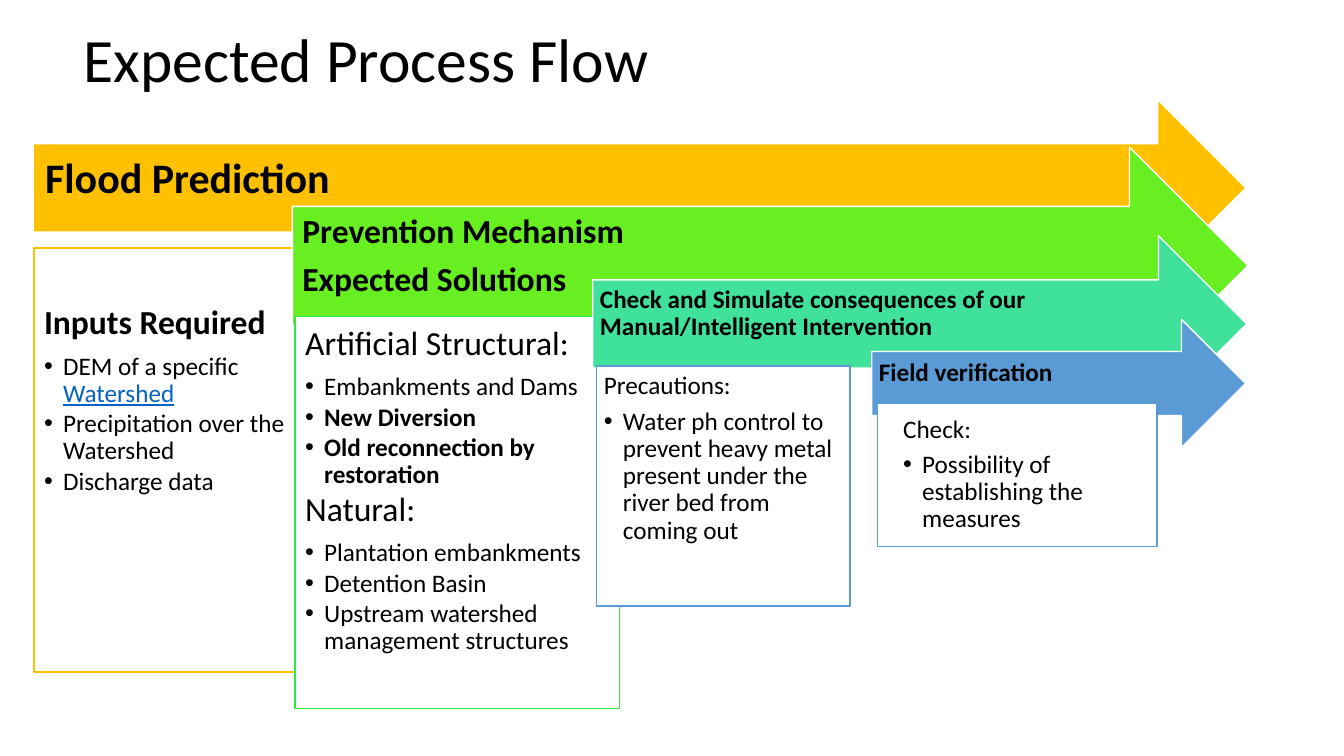
"""Build the flood process flow slide: four layered arrows, each with a detail box."""
from lxml.etree import SubElement
from pptx import Presentation
from pptx.dml.color import RGBColor
from pptx.enum.shapes import MSO_SHAPE
from pptx.enum.text import MSO_ANCHOR, PP_ALIGN
from pptx.oxml.ns import qn
from pptx.util import Cm, Pt

BLACK = RGBColor(0x00, 0x00, 0x00)
WHITE = RGBColor(0xFF, 0xFF, 0xFF)
AMBER = RGBColor(0xFF, 0xC0, 0x00)
LIME = RGBColor(0x67, 0xEF, 0x21)
GREEN = RGBColor(0x30, 0xE8, 0x45)
MINT = RGBColor(0x3F, 0xE1, 0x9B)
BLUE = RGBColor(0x5B, 0x9B, 0xD5)
LINK = RGBColor(0x05, 0x63, 0xC1)

HEAD = {"size": Pt(24), "bold": True}
SUBHEAD = {"size": Pt(24), "bold": False}
NOTE = {"size": Pt(18), "bold": False}
STRONG = {"size": Pt(18), "bold": True}
BULLET_INDENT = Cm(0.48)

ARROW, BOX = MSO_SHAPE.RIGHT_ARROW, MSO_SHAPE.RECTANGLE

# (shape, place, fill, line, insets, paragraphs of (bulleted, format, text, linked text))
LAYERS = [
    (ARROW, (0.84, 2.51, 30.56, 4.45), AMBER, WHITE, (0.3, 0.3, 0.71, 0.71), [
        (False, {"size": Pt(30), "bold": True}, "Flood Prediction", "")]),
    (BOX, (0.86, 6.25, 7.04, 10.69), WHITE, AMBER, (0.25, 1.46, 0.25, 0.25), [
        (False, HEAD, "Inputs Required", ""),
        (True, NOTE, "DEM of a specific ", "Watershed"),
        (True, NOTE, "Precipitation over the Watershed", ""),
        (True, NOTE, "Discharge data", "")]),
    (ARROW, (7.37, 3.71, 24.08, 5.97), LIME, WHITE, (0.25, 0.25, 0.71, 0.71), [
        (False, HEAD, "Prevention Mechanism", ""),
        (False, HEAD, "Expected Solutions", "")]),
    (BOX, (7.44, 7.98, 8.18, 9.88), WHITE, GREEN, (0.25, 0.25, 0.25, 0.25), [
        (False, SUBHEAD, "Artificial Structural:", ""),
        (True, NOTE, "Embankments and Dams", ""),
        (True, STRONG, "New Diversion", ""),
        (True, STRONG, "Old reconnection by restoration", ""),
        (False, SUBHEAD, "Natural:", ""),
        (True, NOTE, "Plantation embankments", ""),
        (True, NOTE, "Detention Basin", ""),
        (True, NOTE, "Upstream watershed management structures", "")]),
    (ARROW, (14.94, 5.94, 16.48, 4.45), MINT, WHITE, (0.18, 0.18, 0.71, 0.71), [
        (False, STRONG, "Check and Simulate consequences of our "
                        "Manual/Intelligent Intervention", "")]),
    (BOX, (15.04, 9.22, 6.38, 6.05), WHITE, BLUE, (0.18, 0.18, 0.18, 0.18), [
        (False, NOTE, "Precautions:", ""),
        (True, NOTE, "Water ph control to prevent heavy metal present "
                     "under the river bed from coming out", "")]),
    (ARROW, (21.97, 8.05, 9.42, 3.23), BLUE, WHITE, (0.18, 0.18, 0.71, 0.71), [
        (False, STRONG, "Field verification", "")]),
    (BOX, (22.12, 10.16, 7.04, 3.61), WHITE, BLUE, (0.64, 0.33, 0, 0.18), [
        (False, NOTE, "Check:", ""),
        (True, NOTE, "Possibility of establishing the measures", "")]),
]


def add_run(p, text, color, fmt):
    r = p.add_run()
    r.text = text
    r.font.name = "Calibri"
    r.font.color.rgb = color
    for name, value in fmt.items():
        setattr(r.font, name, value)


def add_paragraph(p, bulleted, fmt, text, link):
    p.alignment = PP_ALIGN.LEFT
    p.line_spacing = 0.9
    p.space_after = Pt(round(fmt["size"].pt * (0.13 if bulleted else 0.33), 1))
    if bulleted:
        pPr = p._p.get_or_add_pPr()
        pPr.set("marL", str(BULLET_INDENT))
        pPr.set("indent", str(-BULLET_INDENT))
        SubElement(pPr, qn("a:buFont"), typeface="Arial")
        SubElement(pPr, qn("a:buChar"), char="•")
    add_run(p, text, BLACK, fmt)
    if link:
        add_run(p, link, LINK, {**fmt, "underline": True})


prs = Presentation()
prs.slide_width, prs.slide_height = Cm(33.87), Cm(19.05)
s = prs.slides.add_slide(prs.slide_layouts[5])

title = s.shapes.title
title.left, title.top, title.width, title.height = Cm(1.85), Cm(0.48), Cm(29.21), Cm(2.18)
tf = title.text_frame
tf.vertical_anchor = MSO_ANCHOR.MIDDLE
p = tf.paragraphs[0]
p.alignment = PP_ALIGN.LEFT
p.line_spacing = 0.9
add_run(p, "Expected Process Flow", BLACK, {"size": Pt(44)})

for kind, place, fill, line, insets, paragraphs in LAYERS:
    sp = s.shapes.add_shape(kind, *map(Cm, place))
    sp.shadow.inherit = False
    sp.fill.solid()
    sp.fill.fore_color.rgb = fill
    sp.line.color.rgb = line
    sp.line.width = Pt(1)
    tf = sp.text_frame
    tf.word_wrap = True
    tf.vertical_anchor = MSO_ANCHOR.MIDDLE if kind == ARROW else MSO_ANCHOR.TOP
    for side, inset in zip(("left", "top", "right", "bottom"), insets):
        setattr(tf, f"margin_{side}", Cm(inset))
    for i, paragraph in enumerate(paragraphs):
        add_paragraph(tf.add_paragraph() if i else tf.paragraphs[0], *paragraph)

prs.save("out.pptx")
